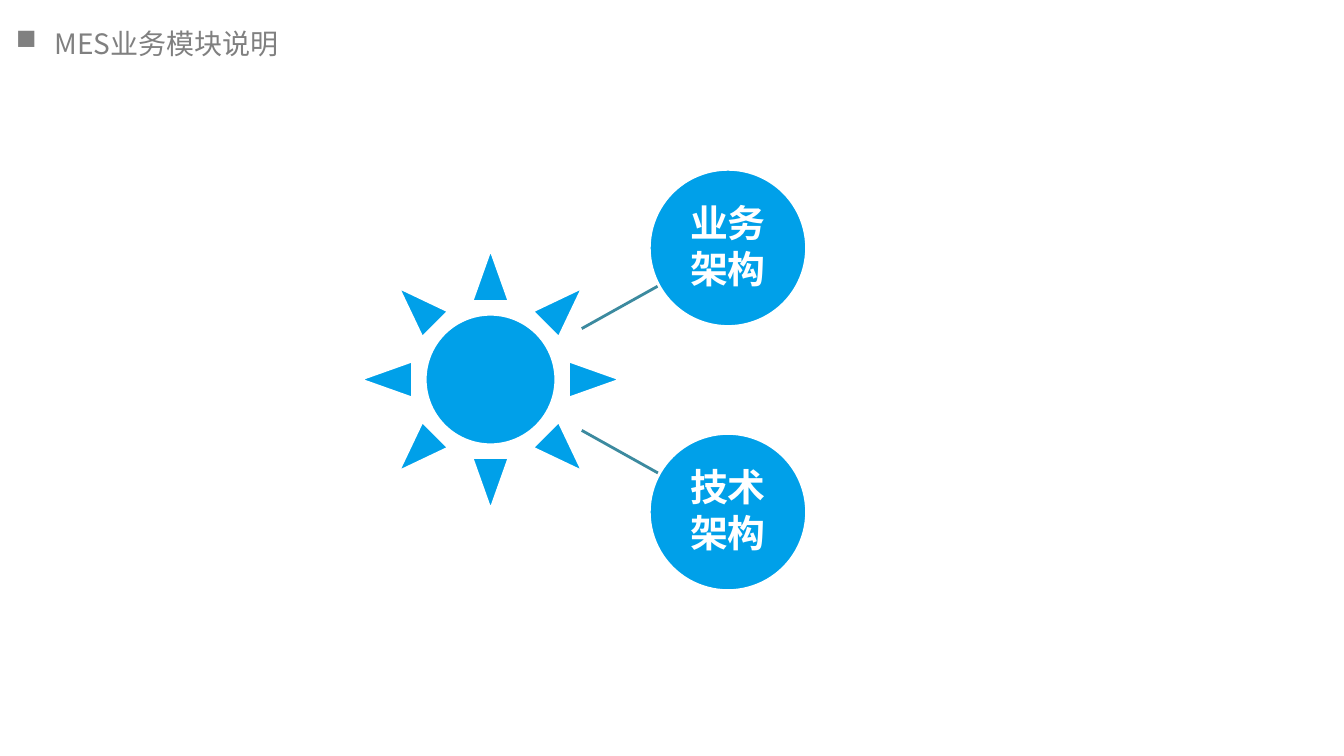
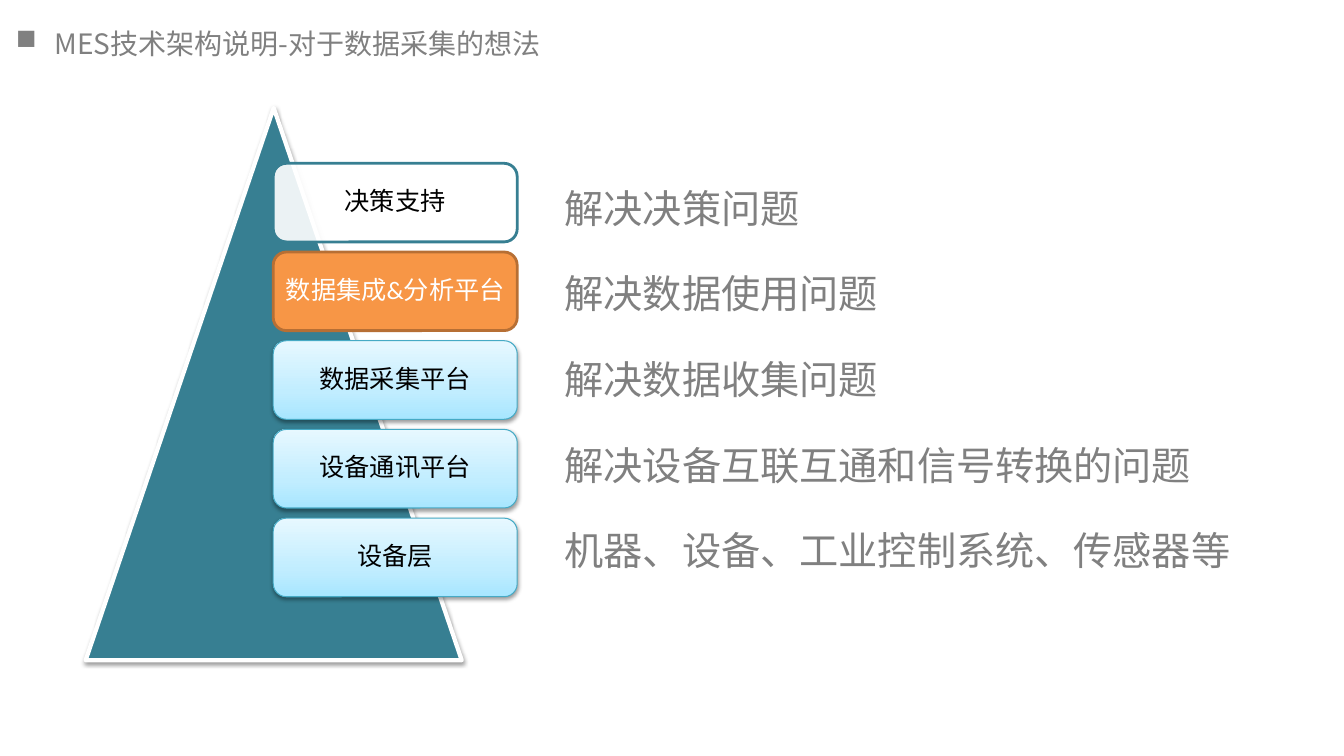
from copy import deepcopy

from pptx import Presentation
from pptx.dml.color import RGBColor
from pptx.enum.shapes import MSO_CONNECTOR as Connector
from pptx.enum.shapes import MSO_SHAPE as Shape
from pptx.enum.text import MSO_ANCHOR as Anchor
from pptx.enum.text import PP_ALIGN as Align
from pptx.oxml.ns import qn
from pptx.util import Inches, Pt
from lxml.etree import SubElement

WHITE = RGBColor(0xFF, 0xFF, 0xFF)
BLACK = RGBColor(0x00, 0x00, 0x00)
GRAY = RGBColor(0x80, 0x80, 0x80)
SKY = RGBColor(0x00, 0xA0, 0xE9)
SPOKE = RGBColor(0x3C, 0x8A, 0x9F)
TEAL = RGBColor(0x37, 0x7F, 0x92)
ORANGE = RGBColor(0xF7, 0x96, 0x46)
BROWN = RGBColor(0xB7, 0x6F, 0x34)
AQUA = RGBColor(0x46, 0xAA, 0xC5)
ICE = [(0, RGBColor(0xA7, 0xE6, 0xFF)), (0.35, RGBColor(0xC1, 0xED, 0xFF)),
       (1, RGBColor(0xE7, 0xF8, 0xFF))]

SANS = "Noto Sans CJK SC"
BODY = "Calibri"

LAYERS = [
    ("决策支持", "解决决策问题"),
    ("数据集成&分析平台", "解决数据使用问题"),
    ("数据采集平台", "解决数据收集问题"),
    ("设备通讯平台", "解决设备互联互通和信号转换的问题"),
    ("设备层", "机器、设备、工业控制系统、传感器等"),
]


def style_text(paragraph, size, color, name, bold=False):
    font = paragraph.font
    font.size = Pt(size)
    font.bold = bold
    font.color.rgb = color
    font.name = name
    SubElement(paragraph._p.pPr.find(qn("a:defRPr")), qn("a:ea"), typeface=SANS)


def add_title(slide, text):
    frame = slide.shapes.add_textbox(
        Inches(0.06), Inches(0.21), Inches(8.99), Inches(0.44)).text_frame
    frame.word_wrap = True
    title = frame.paragraphs[0]
    title.text = text
    properties = title._p.get_or_add_pPr()
    properties.set("marL", str(Inches(0.38)))
    properties.set("indent", str(Inches(-0.38)))
    SubElement(properties, qn("a:buFont"), typeface="Wingdings", charset="2")
    SubElement(properties, qn("a:buChar"), char="n")
    style_text(title, 20, GRAY, SANS)


def add_figure(slide, kind, left, top, width, height, fill, line, weight):
    figure = slide.shapes.add_shape(
        kind, Inches(left), Inches(top), Inches(width), Inches(height))
    figure.shadow.inherit = False
    if fill is ICE:
        fill_gradient(figure.fill, ICE)
    else:
        figure.fill.solid()
        figure.fill.fore_color.rgb = fill
    figure.line.color.rgb = line
    figure.line.width = Pt(weight)
    return figure


def fill_gradient(fill, colors):
    fill.gradient()
    fill.gradient_angle = 90
    last_stop = fill.gradient_stops[-1]._gs
    last_stop.addprevious(deepcopy(last_stop))
    for stop, (position, color) in zip(fill.gradient_stops, colors):
        stop.position = position
        stop.color.rgb = color


def add_soft_shadow(figure):
    effects = figure._element.spPr.find(qn("a:effectLst"))
    shadow = SubElement(effects, qn("a:outerShdw"), blurRad=str(Pt(3.1)),
                        dist=str(Pt(1.6)), dir="5400000", rotWithShape="0")
    color = SubElement(shadow, qn("a:srgbClr"), val=str(BLACK))
    SubElement(color, qn("a:alpha"), val="38000")


def set_opacity(figure, percent):
    color = figure._element.spPr.find(qn("a:solidFill"))[0]
    SubElement(color, qn("a:alpha"), val=str(percent * 1000))


def write_label(figure, lines, inset, size, color, name, bold=False):
    frame = figure.text_frame
    frame.word_wrap = True
    frame.vertical_anchor = Anchor.MIDDLE
    frame.margin_left = frame.margin_right = Inches(inset)
    frame.margin_top = frame.margin_bottom = Inches(inset)
    frame.text = "\n".join(lines)
    for paragraph in frame.paragraphs:
        paragraph.alignment = Align.CENTER
        paragraph.line_spacing = 0.9
        paragraph.space_after = Pt(3.5)
        style_text(paragraph, size, color, name, bold)


def add_spoke(slide, start_y, end_y):
    spoke = slide.shapes.add_connector(
        Connector.STRAIGHT, Inches(5.77), Inches(start_y), Inches(6.54), Inches(end_y))
    spoke.line.color.rgb = SPOKE
    spoke.line.width = Pt(2)
    SubElement(spoke._element.spPr, qn("a:effectLst"))


def add_topic(slide, top, lines):
    topic = add_figure(slide, Shape.OVAL, 6.44, top, 1.56, 1.56, SKY, WHITE, 2)
    write_label(topic, lines, 0.02, 27, WHITE, SANS, bold=True)


def add_layer(slide, index, label):
    fill, line, weight, color = {
        0: (WHITE, TEAL, 2, BLACK),
        1: (ORANGE, BROWN, 2, WHITE),
    }.get(index, (ICE, AQUA, 0.75, BLACK))
    layer = add_figure(slide, Shape.ROUNDED_RECTANGLE, 2.71, 1.62 + 0.88 * index,
                       2.42, 0.78, fill, line, weight)
    if fill is WHITE:
        set_opacity(layer, 90)
    if fill is ICE:
        add_soft_shadow(layer)
    write_label(layer, [label], 0.07, 18, color, BODY)


def add_purposes(slide, purposes):
    table = slide.shapes.add_table(
        len(purposes), 1, Inches(5.5), Inches(1.62), Inches(7.39),
        Inches(0.85 * len(purposes))).table
    table.first_row = False
    table.horz_banding = False
    for row, purpose in enumerate(purposes):
        cell = table.cell(row, 0)
        cell.fill.background()
        cell.vertical_anchor = Anchor.MIDDLE
        cell.text = purpose
        style_text(cell.text_frame.paragraphs[0], 28, GRAY, BODY)


def build_modules(slide):
    add_title(slide, "MES业务模块说明")
    add_spoke(slide, 4.27, 4.7)
    add_spoke(slide, 3.26, 2.83)
    add_figure(slide, Shape.SUN, 3.57, 2.47, 2.59, 2.59, SKY, WHITE, 2)
    add_topic(slide, 1.68, ["业务", "架构"])
    add_topic(slide, 4.3, ["技术", "架构"])


def build_data_collection(slide):
    add_title(slide, "MES技术架构说明-对于数据采集的想法")
    pyramid = add_figure(slide, Shape.ISOSCELES_TRIANGLE, 0.85, 1.07, 3.73, 5.48,
                         TEAL, WHITE, 3)
    add_soft_shadow(pyramid)
    for index, (label, _) in enumerate(LAYERS):
        add_layer(slide, index, label)
    add_purposes(slide, [purpose for _, purpose in LAYERS])


def main():
    deck = Presentation()
    deck.slide_width = Inches(13.33)
    deck.slide_height = Inches(7.5)
    blank = deck.slide_layouts[6]
    for build in (build_modules, build_data_collection):
        build(deck.slides.add_slide(blank))
    deck.save("out.pptx")


if __name__ == "__main__":
    main()
